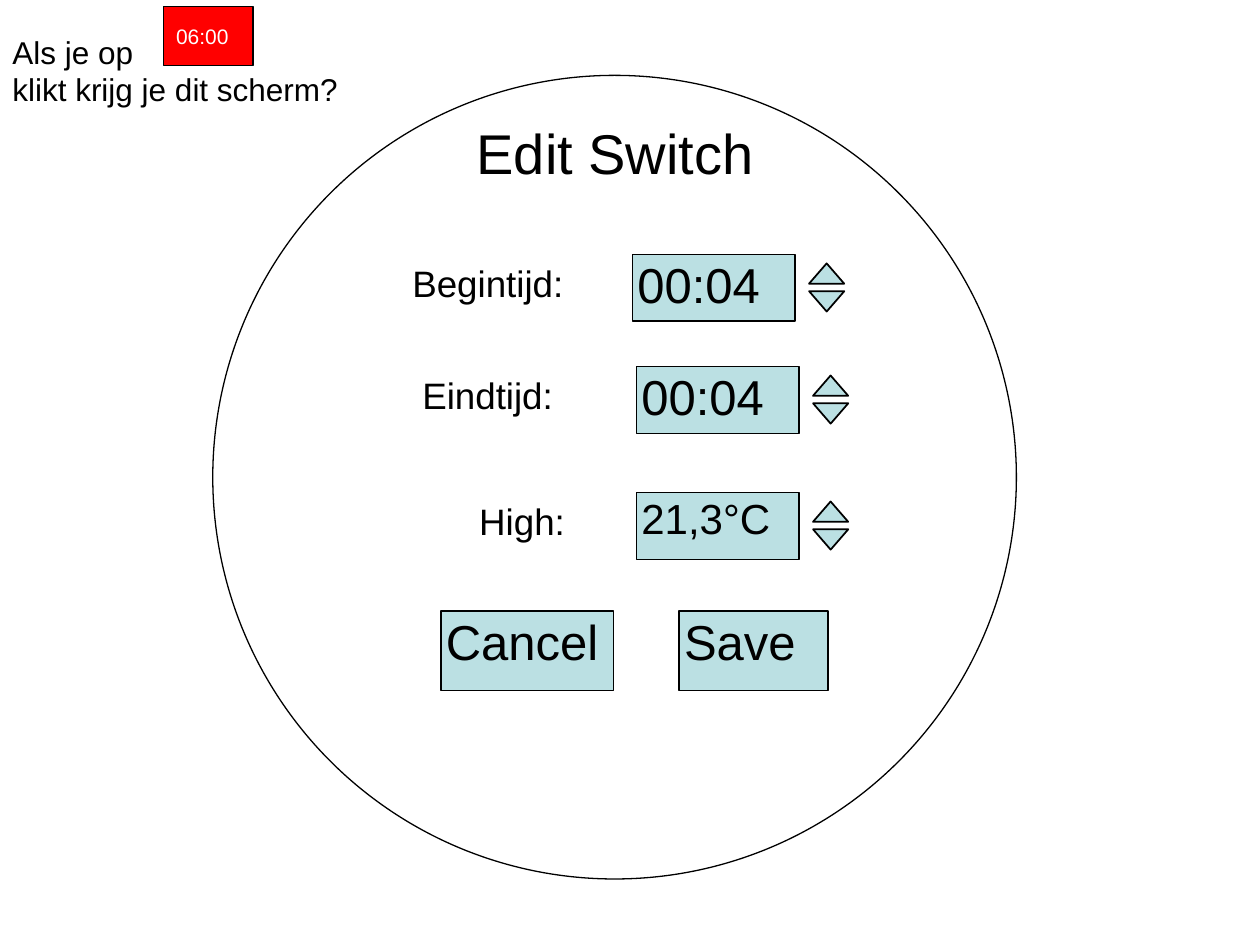
from dataclasses import dataclass

from pptx import Presentation
from pptx.dml.color import RGBColor
from pptx.enum import shapes, text
from pptx.util import Cm, Pt

BLACK, WHITE, RED, PALE = "000000", "FFFFFF", "FF0000", "BBE0E3"
LEFT, CENTER, RIGHT = text.PP_ALIGN.LEFT, text.PP_ALIGN.CENTER, text.PP_ALIGN.RIGHT
TOP, MIDDLE = text.MSO_ANCHOR.TOP, text.MSO_ANCHOR.MIDDLE
RECT, TRIANGLE = shapes.MSO_SHAPE.RECTANGLE, shapes.MSO_SHAPE.ISOSCELES_TRIANGLE


@dataclass
class Box:
    left: float
    top: float
    width: float
    height: float

    def lengths(self) -> list:
        return [Cm(v) for v in (self.left, self.top, self.width, self.height)]


@dataclass
class Setting:
    label: str
    label_left: float
    label_width: float
    value: str
    value_size: float
    left: float
    top: float


@dataclass
class Button:
    caption: str
    left: float
    width: float


def rgb(color: str) -> RGBColor:
    return RGBColor.from_string(color)


def write(shape, lines: list, size: float, color: str = BLACK, align=LEFT,
          anchor=TOP, insets: tuple = (0.1, 0, 0.1, 0), wrap: bool = True) -> None:
    frame = shape.text_frame
    frame.auto_size = text.MSO_AUTO_SIZE.NONE
    frame.word_wrap = wrap
    frame.vertical_anchor = anchor
    (frame.margin_left, frame.margin_top,
     frame.margin_right, frame.margin_bottom) = [Cm(v) for v in insets]
    paragraph = frame.paragraphs[0]
    paragraph.alignment = align
    for number, line in enumerate(lines):
        if number:
            paragraph.add_line_break()
        run = paragraph.add_run()
        run.text = line
        run.font.name = "Arial"
        run.font.size = Pt(size)
        run.font.color.rgb = rgb(color)


def draw(kind, box: Box, fill: str, line_width: float = 1):
    shape = slide.shapes.add_shape(kind, *box.lengths())
    shape.shadow.inherit = False
    shape.fill.solid()
    shape.fill.fore_color.rgb = rgb(fill)
    shape.line.color.rgb = rgb(BLACK)
    shape.line.width = Pt(line_width)
    return shape


def draw_setting(setting: Setting) -> None:
    label = slide.shapes.add_textbox(
        *Box(setting.label_left, setting.top + 0.13, setting.label_width, 0.89).lengths())
    write(label, [setting.label], 21, align=RIGHT, insets=(0, 0, 0.1, 0), wrap=False)
    field = draw(RECT, Box(setting.left, setting.top, 3.28, 1.35), PALE)
    write(field, [setting.value], setting.value_size)
    for offset, rotation in ((0.18, 0), (0.74, 180)):
        arrow = draw(TRIANGLE, Box(setting.left + 3.56, setting.top + offset, 0.71, 0.41), PALE)
        arrow.rotation = rotation


def draw_button(button: Button) -> None:
    shape = draw(RECT, Box(button.left, 12.32, button.width, 1.6), PALE)
    write(shape, [button.caption], 28)


SETTINGS = [
    Setting("Begintijd:", 8.18, 3.28, "00:04", 28, 12.75, 5.13),
    Setting("Eindtijd:", 8.38, 2.87, "00:04", 28, 12.83, 7.39),
    Setting("High:", 9.53, 1.96, "21,3°C", 24, 12.83, 9.93),
]
BUTTONS = [Button("Cancel", 8.89, 3.48), Button("Save", 13.69, 3)]

deck = Presentation()
deck.slide_width, deck.slide_height = Cm(25.4), Cm(19.05)
slide = deck.slides.add_slide(deck.slide_layouts[5])

dial = draw(shapes.MSO_SHAPE.OVAL, Box(4.29, 1.52, 16.2, 16.2), WHITE, 0.75)

heading = slide.shapes.title
dial._element.addnext(heading._element)
heading.left, heading.top, heading.width, heading.height = Box(8.89, 1.73, 7.24, 2.67).lengths()
write(heading, ["Edit Switch"], 32, align=CENTER, anchor=MIDDLE,
      insets=(0.15, 0.15, 0.36, 0.15))

for setting in SETTINGS:
    draw_setting(setting)
for button in BUTTONS:
    draw_button(button)

question = slide.shapes.add_textbox(*Box(0, 0.53, 7.21, 1.78).lengths())
write(question, ["Als je op", "klikt krijg je dit scherm?"], 18,
      insets=(0.25, 0.13, 0.25, 0.13))
start_time = draw(RECT, Box(3.3, 0.13, 1.8, 1.19), RED, 0.75)
write(start_time, ["06:00"], 12, WHITE, anchor=MIDDLE, insets=(0.25, 0.13, 0.25, 0.13))

deck.save("out.pptx")
